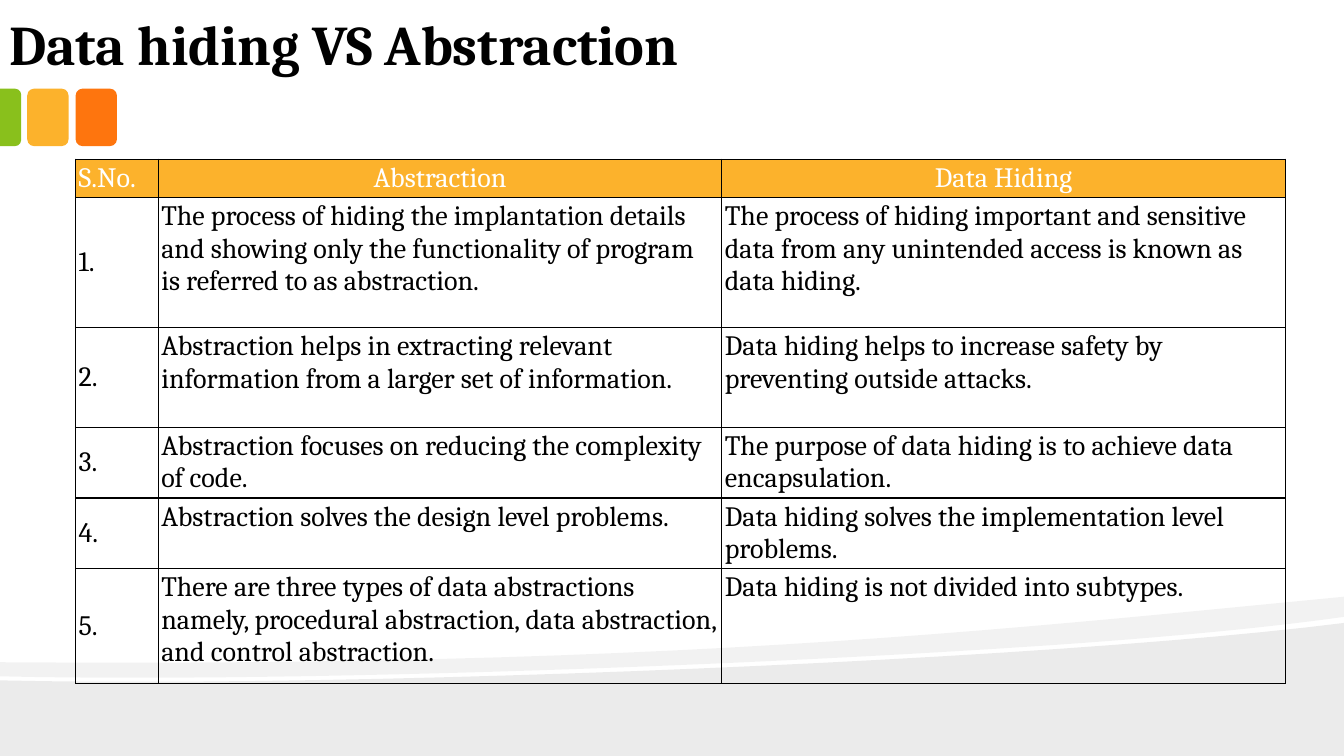
from dataclasses import dataclass

from pptx import Presentation
from pptx.dml.color import RGBColor
from pptx.enum.shapes import MSO_SHAPE
from pptx.enum.text import MSO_ANCHOR, MSO_AUTO_SIZE, PP_ALIGN
from pptx.oxml import parse_xml
from pptx.oxml.ns import nsdecls, qn
from pptx.util import Inches, Pt

ROUNDED, TAB = MSO_SHAPE.ROUNDED_RECTANGLE, MSO_SHAPE.ROUND_2_SAME_RECTANGLE
TOP, MIDDLE, BOTTOM = MSO_ANCHOR.TOP, MSO_ANCHOR.MIDDLE, MSO_ANCHOR.BOTTOM
LEFT, CENTER, JUSTIFY = PP_ALIGN.LEFT, PP_ALIGN.CENTER, PP_ALIGN.JUSTIFY
NO_AUTOFIT = MSO_AUTO_SIZE.NONE
TITLE_ONLY = 5


@dataclass(frozen=True)
class Theme:
    font: str = "Cambria"
    title_size: int = 40
    table_size: int = 20
    black: str = "000000"
    white: str = "FFFFFF"
    orange: str = "FE750E"
    amber: str = "FCB22C"
    green: str = "89C01C"


HEADER = ["S.No.", "Abstraction", "Data Hiding"]
COMPARISON = [
    ("The process of hiding the implantation details and showing only the "
     "functionality of program is referred to as abstraction.",
     "The process of hiding important and sensitive data from any unintended "
     "access is known as data hiding."),
    ("Abstraction helps in extracting relevant information from a larger set of information.",
     "Data hiding helps to increase safety by preventing outside attacks."),
    ("Abstraction focuses on reducing the complexity of code.",
     "The purpose of data hiding is to achieve data encapsulation."),
    ("Abstraction solves the design level problems.",
     "Data hiding solves the implementation level problems."),
    ("There are three types of data abstractions namely, procedural abstraction, "
     "data abstraction, and control abstraction.",
     "Data hiding is not divided into subtypes."),
]
COL_WIDTHS = [0.82, 5.59, 5.59]
ROW_HEIGHTS = [0.22, 1.29, 0.99, 0.68, 0.68, 1.14]


def set_all(target, values):
    for name, value in values.items():
        setattr(target, name, value)


def bezier(p0, p1, p2, p3, steps=24):
    """Points along a cubic curve, without its start."""
    points = []
    for i in range(1, steps + 1):
        t = i / steps
        weights = ((1 - t) ** 3, 3 * t * (1 - t) ** 2, 3 * t * t * (1 - t), t ** 3)
        points.append(tuple(sum(w * p[axis] for w, p in zip(weights, (p0, p1, p2, p3)))
                            for axis in (0, 1)))
    return points


class SlideBuilder:
    def __init__(self, prs, theme):
        self.theme = theme
        self.slide = prs.slides.add_slide(prs.slide_layouts[TITLE_ONLY])

    def paint(self, sp, color):
        sp.shadow.inherit = False
        sp.fill.solid()
        sp.fill.fore_color.rgb = RGBColor.from_string(color)
        sp.line.fill.background()

    def add_text(self, p, text, size, color, bold=False, align=LEFT):
        p.alignment = align
        r = p.add_run()
        r.text = text
        set_all(r.font, {"name": self.theme.font, "size": Pt(size), "bold": bold})
        r.font.color.rgb = RGBColor.from_string(color)

    def title(self, text, left, top, width, height):
        sp = self.slide.shapes.title
        set_all(sp, {"left": Inches(left), "top": Inches(top),
                     "width": Inches(width), "height": Inches(height)})
        tf = sp.text_frame
        set_all(tf, {"vertical_anchor": BOTTOM, "word_wrap": True, "auto_size": NO_AUTOFIT,
                     "margin_left": Inches(0.13), "margin_right": Inches(0.13),
                     "margin_top": Inches(0.07), "margin_bottom": Inches(0.07)})
        self.add_text(tf.paragraphs[0], text, self.theme.title_size, self.theme.black, bold=True)

    def wave(self, points, opacity):
        """Translucent black outline; opacity is in percent."""
        start, *rest = [(Inches(x), Inches(y)) for x, y in points]
        builder = self.slide.shapes.build_freeform(*start)
        builder.add_line_segments(rest, close=True)
        sp = builder.convert_to_shape()
        self.paint(sp, self.theme.black)
        color = sp._element.spPr.find(qn("a:solidFill"))[0]
        color.append(parse_xml(f'<a:alpha {nsdecls("a")} val="{opacity * 1000}"/>'))

    def block(self, kind, left, top, width, height, color, rotation=0, adjustments=()):
        sp = self.slide.shapes.add_shape(
            kind, Inches(left), Inches(top), Inches(width), Inches(height))
        sp.rotation = rotation
        for i, value in enumerate(adjustments):
            sp.adjustments[i] = value
        self.paint(sp, color)

    def border(self, cell):
        tc_pr = cell._tc.get_or_add_tcPr()
        for side in ("lnL", "lnR", "lnT", "lnB"):
            tc_pr.append(parse_xml(
                f'<a:{side} {nsdecls("a")} w="{Pt(1)}"><a:solidFill>'
                f'<a:srgbClr val="{self.theme.black}"/></a:solidFill></a:{side}>'))

    def cell(self, cell, text, header, anchor, align):
        margin = Inches(0.03)
        set_all(cell, {"vertical_anchor": anchor, "margin_left": margin, "margin_right": margin,
                       "margin_top": margin, "margin_bottom": margin})
        self.border(cell)
        if header:
            cell.fill.solid()
            cell.fill.fore_color.rgb = RGBColor.from_string(self.theme.amber)
        else:
            cell.fill.background()
        color = self.theme.white if header else self.theme.black
        self.add_text(cell.text_frame.paragraphs[0], text, self.theme.table_size, color,
                      align=align)

    def table(self, rows, left, top, width, height):
        frame = self.slide.shapes.add_table(
            len(rows), len(COL_WIDTHS), Inches(left), Inches(top), Inches(width), Inches(height))
        table = frame.table
        set_all(table, {"first_row": False, "horz_banding": False})
        for col, col_width in zip(table.columns, COL_WIDTHS):
            col.width = Inches(col_width)
        for row, row_height in zip(table.rows, ROW_HEIGHTS):
            row.height = Inches(row_height)
        frame.height = Inches(height)
        for i, texts in enumerate(rows):
            for j, text in enumerate(texts):
                header = i == 0
                anchor = MIDDLE if header or j == 0 else TOP
                align = CENTER if header and j else JUSTIFY if j == 0 and i < 2 else LEFT
                self.cell(table.cell(i, j), text, header, anchor, align)


def main():
    prs = Presentation()
    prs.slide_width, prs.slide_height = Inches(13.33), Inches(7.5)
    theme = Theme()
    builder = SlideBuilder(prs, theme)

    builder.wave([(13.33, 6.18), (13.33, 7.5), (0, 7.5), (0, 6.75)]
                 + bezier((0, 6.75), (3.52, 6.83), (10.42, 6.55), (13.33, 6.18)), 8)
    builder.wave([(13.33, 5.92), (13.33, 6.12)]
                 + bezier((13.33, 6.12), (12.55, 6.23), (11.49, 6.33), (10.29, 6.41))
                 + bezier((10.29, 6.41), (6.98, 6.63), (2.58, 6.77), (0, 6.71))
                 + [(0, 6.57)]
                 + bezier((0, 6.57), (6.52, 6.62), (9.71, 6.27), (13.33, 5.92)), 5)

    for left, color in ((0.75, theme.orange), (0.27, theme.amber)):
        builder.block(ROUNDED, left, 0.88, 0.41, 0.57, color)
    builder.block(TAB, -0.18, 1.06, 0.57, 0.21, theme.green, 90, (0.29, 0))

    builder.title("Data hiding VS Abstraction", -0.04, 0, 12.78, 0.83)
    numbered = [(f"{n}.", *texts) for n, texts in enumerate(COMPARISON, 1)]
    builder.table([HEADER] + numbered, 0.75, 1.58, 12, 5.28)
    prs.save("out.pptx")


if __name__ == "__main__":
    main()
